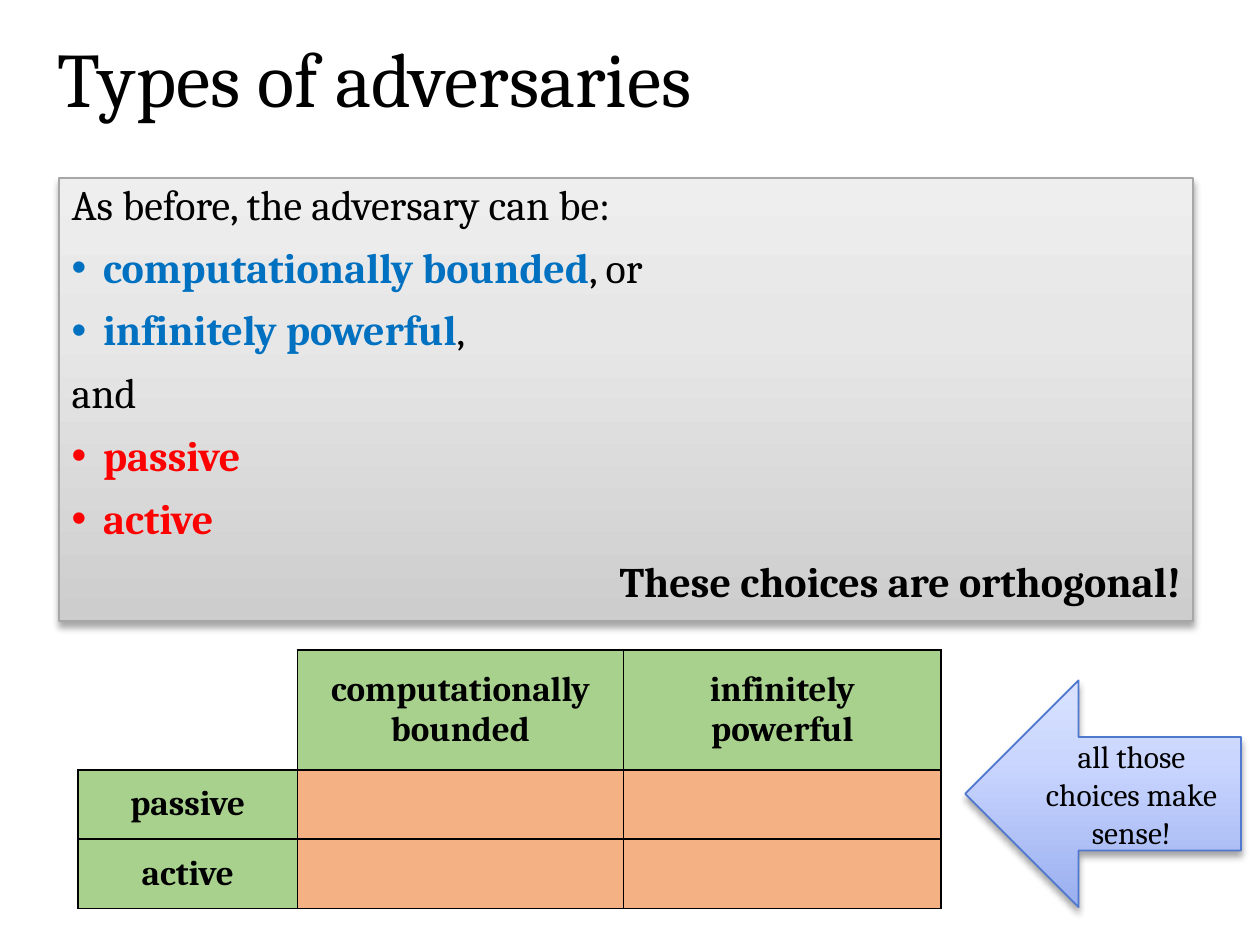
from lxml import etree
from pptx import Presentation
from pptx.dml.color import RGBColor
from pptx.enum import shapes, text
from pptx.oxml import parse_xml
from pptx.oxml.ns import nsdecls
from pptx.util import Inches, Pt

THEME = {
    "font": "Cambria",
    "black": "000000", "blue": "0070C0", "red": "FF0000",
    "header": "A9D18E", "cell": "F4B183",
    "grey": {"stops": ((0, "CDCDCD"), (65, "E7E7E7"), (100, "EEEEEE")), "line": "A7A7A7"},
    "sky": {"stops": ((0, "9AAFF0"), (65, "CAD6FE"), (100, "D9E2FF")), "line": "4F78CE"},
    "title": 44, "body": 24, "table": 20, "note": 18,
}

TITLE = "Types of adversaries"
# Each paragraph: (bulleted, alignment, [(text, colour, bold), ...])
BODY = [
    (False, "LEFT", [("As before, the adversary can be:", "black", False)]),
    (True, "LEFT", [("computationally bounded", "blue", True), (", or", "black", False)]),
    (True, "LEFT", [("infinitely powerful", "blue", True), (",", "black", False)]),
    (False, "LEFT", [("and", "black", False)]),
    (True, "LEFT", [("passive", "red", True)]),
    (True, "LEFT", [("active", "red", True)]),
    (False, "RIGHT", [("These choices are orthogonal!", "black", True)]),
]
TABLE = [
    ["", "computationally bounded", "infinitely powerful"],
    ["passive", "", ""],
    ["active", "", ""],
]
COLS, ROWS = (1.74, 2.59, 2.52), (0.95, 0.55, 0.55)
NOTE = "all those choices make sense!"


def add_run(p, words, size, colour="black", bold=False):
    r = p.add_run()
    r.text = words
    r.font.name, r.font.size, r.font.bold = THEME["font"], Pt(THEME[size]), bold
    r.font.color.rgb = RGBColor.from_string(THEME[colour])


def add_panel(slide, kind, box, look):
    """Add a shape with a bottom-to-top gradient, thin outline and soft shadow."""
    sp = slide.shapes.add_shape(kind, *map(Inches, box))
    sp.shadow.inherit = False
    sp.line.color.rgb = RGBColor.from_string(THEME[look]["line"])
    sp.line.width = Pt(1)
    stops = "".join(f'<a:gs pos="{pos * 1000}"><a:srgbClr val="{c}"/></a:gs>'
                    for pos, c in THEME[look]["stops"])
    props = sp._element.spPr
    props.find("{*}prstGeom").addnext(parse_xml(
        f'<a:gradFill {nsdecls("a")} rotWithShape="1"><a:gsLst>{stops}</a:gsLst>'
        '<a:lin ang="16200000" scaled="0"/></a:gradFill>'))
    props.find("{*}effectLst").append(parse_xml(
        f'<a:outerShdw {nsdecls("a")} blurRad="{Pt(4)}" dist="{Pt(3)}" dir="5400000" '
        'rotWithShape="0"><a:srgbClr val="000000"><a:alpha val="35000"/></a:srgbClr>'
        '</a:outerShdw>'))
    sp.text_frame.word_wrap = True
    return sp


def set_indent(p, bulleted):
    ppr = p._p.get_or_add_pPr()
    ppr.set("marL", str(Inches(0.25)))
    ppr.set("indent", str(Inches(-0.25)))
    if bulleted:
        ppr.append(parse_xml(f'<a:buFont {nsdecls("a")} typeface="Arial"/>'))
        ppr.append(parse_xml(f'<a:buChar {nsdecls("a")} char="•"/>'))
    else:
        ppr.append(parse_xml(f'<a:buNone {nsdecls("a")}/>'))


def set_borders(cell, sides):
    tcpr = cell._tc.get_or_add_tcPr()
    for i, side in enumerate("LRTB"):
        paint = ('<a:solidFill><a:srgbClr val="000000"/></a:solidFill>'
                 if side in sides else "<a:noFill/>")
        tcpr.insert(i, parse_xml(
            f'<a:ln{side} {nsdecls("a")} w="{Pt(1)}">{paint}</a:ln{side}>'))


def add_title(slide):
    title = slide.shapes.title
    title.left, title.top, title.width, title.height = map(Inches, (0.36, 0.27, 8.62, 0.77))
    tf = title.text_frame
    tf.word_wrap = True
    tf.vertical_anchor = text.MSO_ANCHOR.MIDDLE
    p = tf.paragraphs[0]
    p.alignment, p.line_spacing = text.PP_ALIGN.LEFT, 0.9
    add_run(p, TITLE, "title")


def add_body(slide):
    tf = add_panel(slide, shapes.MSO_SHAPE.RECTANGLE, (0.47, 1.41, 9, 3.52), "grey").text_frame
    tf.vertical_anchor = text.MSO_ANCHOR.TOP
    for i, (bulleted, align, runs) in enumerate(BODY):
        p = tf.add_paragraph() if i else tf.paragraphs[0]
        set_indent(p, bulleted)
        p.alignment, p.line_spacing = text.PP_ALIGN[align], 0.9
        if i:
            p.space_before = Pt(10)
        for run in runs:
            add_run(p, run[0], "body", *run[1:])


def add_grid(slide):
    frame = slide.shapes.add_table(len(ROWS), len(COLS), Inches(0.62), Inches(5.16),
                                   Inches(sum(COLS)), Inches(sum(ROWS)))
    table = frame.table
    table.first_row = table.horz_banding = False
    for col, width in zip(table.columns, COLS):
        col.width = Inches(width)
    for i, (row, height) in enumerate(zip(table.rows, ROWS)):
        row.height = Inches(height)
        for j, cell in enumerate(row.cells):
            corner = i == j == 0
            if corner:
                cell.fill.background()
            else:
                cell.fill.solid()
                cell.fill.fore_color.rgb = RGBColor.from_string(
                    THEME["cell" if i and j else "header"])
            set_borders(cell, "RB" if corner else "LRTB")
            if TABLE[i][j]:
                cell.vertical_anchor = text.MSO_ANCHOR.MIDDLE
                p = cell.text_frame.paragraphs[0]
                p.alignment = text.PP_ALIGN.CENTER
                add_run(p, TABLE[i][j], "table", bold=True)


def add_note(slide):
    tf = add_panel(slide, shapes.MSO_SHAPE.LEFT_ARROW, (7.66, 5.4, 2.19, 1.8), "sky").text_frame
    tf.vertical_anchor = text.MSO_ANCHOR.MIDDLE
    p = tf.paragraphs[0]
    p.alignment = text.PP_ALIGN.CENTER
    add_run(p, NOTE, "note")


def main():
    prs = Presentation()
    prs.slide_width, prs.slide_height = Inches(10), Inches(7.5)
    slide = prs.slides.add_slide(prs.slide_layouts[5])
    for add_part in (add_title, add_body, add_grid, add_note):
        add_part(slide)
    prs.save("out.pptx")


if __name__ == "__main__":
    main()
